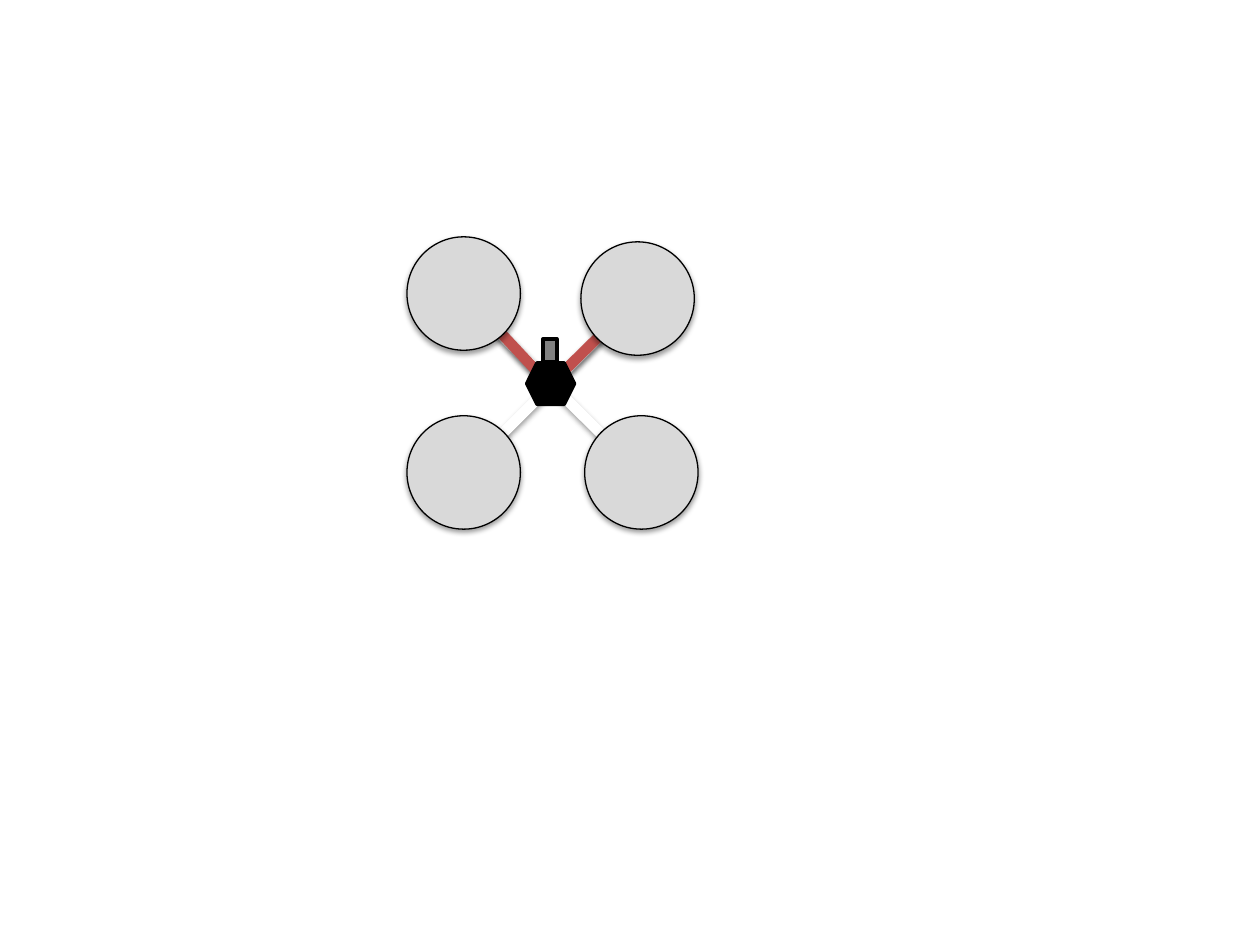
"""Build a slide with a top view of a quadcopter."""
from dataclasses import dataclass

from lxml.etree import SubElement
from pptx import Presentation
from pptx.dml.color import RGBColor
from pptx.enum.shapes import MSO_CONNECTOR, MSO_SHAPE
from pptx.oxml.ns import qn
from pptx.util import Inches, Pt


@dataclass(frozen=True)
class Theme:
    rotor: str = "D9D9D9"
    outline: str = "000000"
    body: str = "000000"
    camera: str = "808080"
    front_arm: str = "C0504D"
    rear_arm: str = "FFFFFF"
    arm_width: float = 6
    rotor_width: float = 0.75
    body_width: float = 2
    rotor_size: float = 0.9
    rotor_angle: float = 44.9
    shadow_blur: float = 3.1


class Drawing:
    def __init__(self, slide, theme):
        self.s = slide
        self.theme = theme

    def outline(self, line, color, width):
        line.color.rgb = RGBColor.from_string(color)
        line.width = Pt(width)

    def shadow(self, sp, dist, opacity):
        effects = SubElement(sp._element.spPr, qn("a:effectLst"))
        outer = SubElement(effects, qn("a:outerShdw"))
        values = {"blurRad": Pt(self.theme.shadow_blur), "dist": Pt(dist),
                  "dir": 90 * 60000, "rotWithShape": 0}
        for name, value in values.items():
            outer.set(name, str(int(value)))
        color = SubElement(outer, qn("a:srgbClr"), val="000000")
        SubElement(color, qn("a:alpha"), val=str(opacity * 1000))

    def arm(self, start, end, color, dist=1.6, opacity=38):
        points = [Inches(v) for v in (*start, *end)]
        sp = self.s.shapes.add_connector(MSO_CONNECTOR.STRAIGHT, *points)
        self.outline(sp.line, color, self.theme.arm_width)
        self.shadow(sp, dist, opacity)

    def shape(self, kind, box, fill, width, **fmt):
        sp = self.s.shapes.add_shape(kind, *[Inches(v) for v in box])
        for name, value in fmt.items():
            setattr(sp, name, value)
        sp.fill.solid()
        sp.fill.fore_color.rgb = RGBColor.from_string(fill)
        self.outline(sp.line, self.theme.outline, width)
        return sp

    def rotor(self, left, top):
        t = self.theme
        sp = self.shape(MSO_SHAPE.OVAL, (left, top, t.rotor_size, t.rotor_size),
                        t.rotor, t.rotor_width, rotation=t.rotor_angle)
        self.shadow(sp, 1.6, 38)

    def block(self, kind, box, fill):
        sp = self.shape(kind, box, fill, self.theme.body_width)
        sp.shadow.inherit = False


def main():
    prs = Presentation()
    size = {"slide_width": Inches(10), "slide_height": Inches(7.5)}
    for name, value in size.items():
        setattr(prs, name, value)
    theme = Theme()
    d = Drawing(prs.slides.add_slide(prs.slide_layouts[6]), theme)

    d.arm((3.69, 2.37), (5.06, 3.73), theme.rear_arm)
    d.arm((3.7, 3.73), (5.06, 2.37), theme.rear_arm)
    for left in (3.23, 4.64):
        d.rotor(left, 3.3)

    for start, end in (((4.42, 3), (5.06, 2.37)), ((4.31, 3), (3.72, 2.37))):
        d.arm(start, end, theme.front_arm, dist=1.8, opacity=35)
    for left, top in ((4.61, 1.92), (3.23, 1.88)):
        d.rotor(left, top)

    d.block(MSO_SHAPE.HEXAGON, (4.18, 2.88, 0.38, 0.33), theme.body)
    d.block(MSO_SHAPE.RECTANGLE, (4.31, 2.69, 0.11, 0.18), theme.camera)
    prs.save("out.pptx")


if __name__ == "__main__":
    main()
